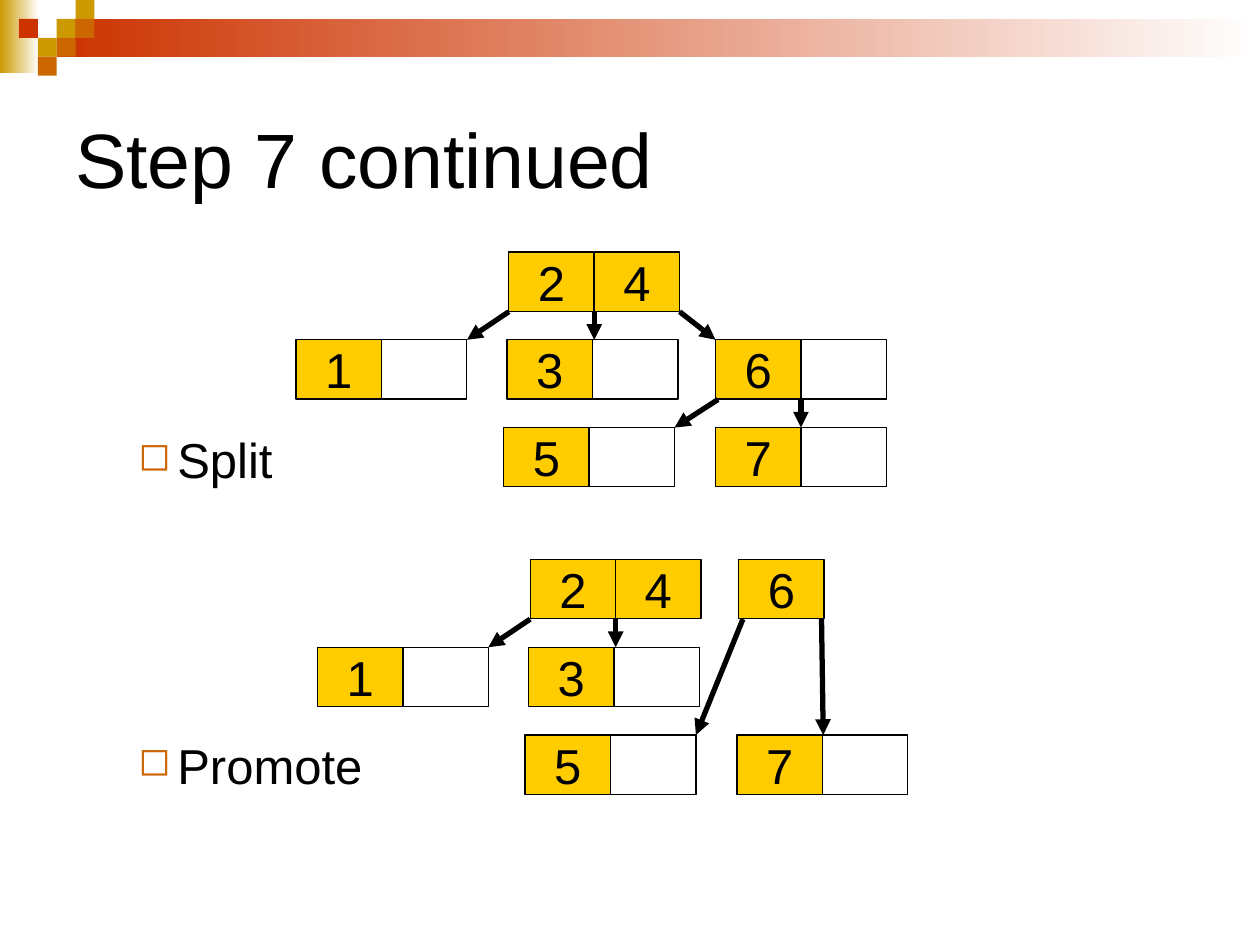
from dataclasses import dataclass
from typing import Any

from lxml import etree
from pptx import Presentation
from pptx.dml.color import RGBColor
from pptx.enum import shapes, text
from pptx.oxml.ns import qn
from pptx.util import Inches, Pt

CELL_W, CELL_H, ROW_PITCH = 6.78, 6.27, 9.29
TILE_W, TILE_H = 1.5, 2
CELL_FOOT = 0.68


def color(value):
    return RGBColor.from_string(value)


def child(parent, tag, **attributes):
    return etree.SubElement(parent, qn(tag), **attributes)


def write(paragraph, words, size=28, ink="000000", font="Arial", align=None, before=0):
    run = paragraph.add_run()
    run.text = words
    run.font.size = Pt(size)
    run.font.name = font
    run.font.color.rgb = color(ink)
    paragraph.alignment = align
    paragraph.space_before = Pt(before)


@dataclass
class Canvas:
    slide: Any
    width: int
    height: int
    ink: str = "000000"
    key_fill: str = "FFCC00"
    empty_fill: str = "FFFFFF"
    bullet_color: str = "CC6600"

    def place(self, x, y):
        return round(self.width * x / 100), round(self.height * y / 100)

    def rect(self, x, y, w, h, *fills):
        block = self.slide.shapes.add_shape(
            shapes.MSO_SHAPE.RECTANGLE, *self.place(x, y), *self.place(w, h))
        block.shadow.inherit = False
        block.line.fill.background()
        if len(fills) == 1:
            block.fill.solid()
            block.fill.fore_color.rgb = color(fills[0])
        else:
            block.fill.gradient()
            block.fill.gradient_angle = 0
            for stop, fill in zip(block.fill.gradient_stops, fills):
                stop.color.rgb = color(fill)
        return block

    def cell(self, x, y, key):
        block = self.rect(x, y, CELL_W, CELL_H, self.key_fill if key else self.empty_fill)
        block.line.color.rgb = color(self.ink)
        block.line.width = Pt(0.75)
        if key:
            frame = block.text_frame
            frame.word_wrap = False
            frame.vertical_anchor = text.MSO_ANCHOR.MIDDLE
            write(frame.paragraphs[0], key, align=text.PP_ALIGN.CENTER)

    def arrow(self, start, end):
        link = self.slide.shapes.add_connector(
            shapes.MSO_CONNECTOR.STRAIGHT, *self.place(*start), *self.place(*end))
        link.line.color.rgb = color(self.ink)
        link.line.width = Pt(3)
        child(link.line._get_or_add_ln(), "a:tailEnd", type="triangle")
        child(link._element.spPr, "a:effectLst")

    def tree(self, left, top, nodes, links):
        def spot(column, row):
            return left + column * CELL_W, top + row * ROW_PITCH

        for column, row, keys in nodes:
            for offset, key in enumerate(keys):
                self.cell(*spot(column + offset, row), key.strip())
        for start, end in links:
            self.arrow(spot(*start), spot(*end))

    def text_area(self, x, y, w, h, anchor):
        frame = self.slide.shapes.add_textbox(*self.place(x, y), *self.place(w, h)).text_frame
        frame.word_wrap = True
        frame.vertical_anchor = anchor
        return frame

    def title(self, words):
        frame = self.text_area(5, 6.67, 90, 20, text.MSO_ANCHOR.MIDDLE)
        write(frame.paragraphs[0], words, size=44)

    def bullets(self, items, gap):
        frame = self.text_area(5, 44.8, 90, 40.8, text.MSO_ANCHOR.TOP)
        for index, words in enumerate(items):
            paragraph = frame.add_paragraph() if index else frame.paragraphs[0]
            write(paragraph, words, before=gap if index else 0)
            properties = paragraph._p.get_or_add_pPr()
            properties.set("marL", str(Inches(0.81)))
            properties.set("indent", str(Inches(-0.31)))
            child(child(properties, "a:buClr"), "a:srgbClr", val=self.bullet_color)
            child(properties, "a:buSzPct", val="80000")
            child(properties, "a:buChar", char="◻")

    def banner(self):
        self.rect(0, 0, 3.1, 7.73, "CC9900", "FFFFFF")
        self.rect(4.5, 2, 95.5, 4, "CC3300", "FFFFFF")
        tiles = [(3, 1, "CC9900"), (4, 0, "CC9900"), (4, 1, "CC6600"), (2, 2, "CC9900"),
                 (1, 1, "CC3300"), (3, 2, "CC6600"), (2, 3, "CC6600")]
        for column, row, fill in tiles:
            self.rect(column * TILE_W, row * TILE_H, TILE_W, TILE_H, fill)


def main():
    deck = Presentation()
    deck.slide_width, deck.slide_height = Inches(10), Inches(7.5)
    canvas = Canvas(deck.slides.add_slide(deck.slide_layouts[6]),
                    deck.slide_width, deck.slide_height)
    canvas.banner()
    canvas.title("Step 7 continued")

    shared_nodes = [(2.49, 0, "24"), (0, 1, "1 "), (2.47, 1, "3 "),
                    (2.43, 2, "5 "), (4.91, 2, "7 ")]
    shared_links = [((2.49, CELL_FOOT), (2, 1)), ((3.49, CELL_FOOT), (3.49, 1))]
    split_links = [((4.49, CELL_FOOT), (4.91, 1)),
                   ((4.94, 1 + CELL_FOOT), (4.43, 2)),
                   ((5.91, 1 + CELL_FOOT), (5.91, 2))]
    promote_links = [((4.98, CELL_FOOT), (4.43, 2)), ((5.9, CELL_FOOT), (5.92, 2))]

    canvas.tree(23.5, 26.67, shared_nodes + [(4.91, 1, "6 ")], shared_links + split_links)
    canvas.tree(25.2, 59.2, shared_nodes + [(4.93, 0, "6")], shared_links + promote_links)
    canvas.bullets(["Split", "Promote"], gap=141)
    deck.save("out.pptx")


if __name__ == "__main__":
    main()
